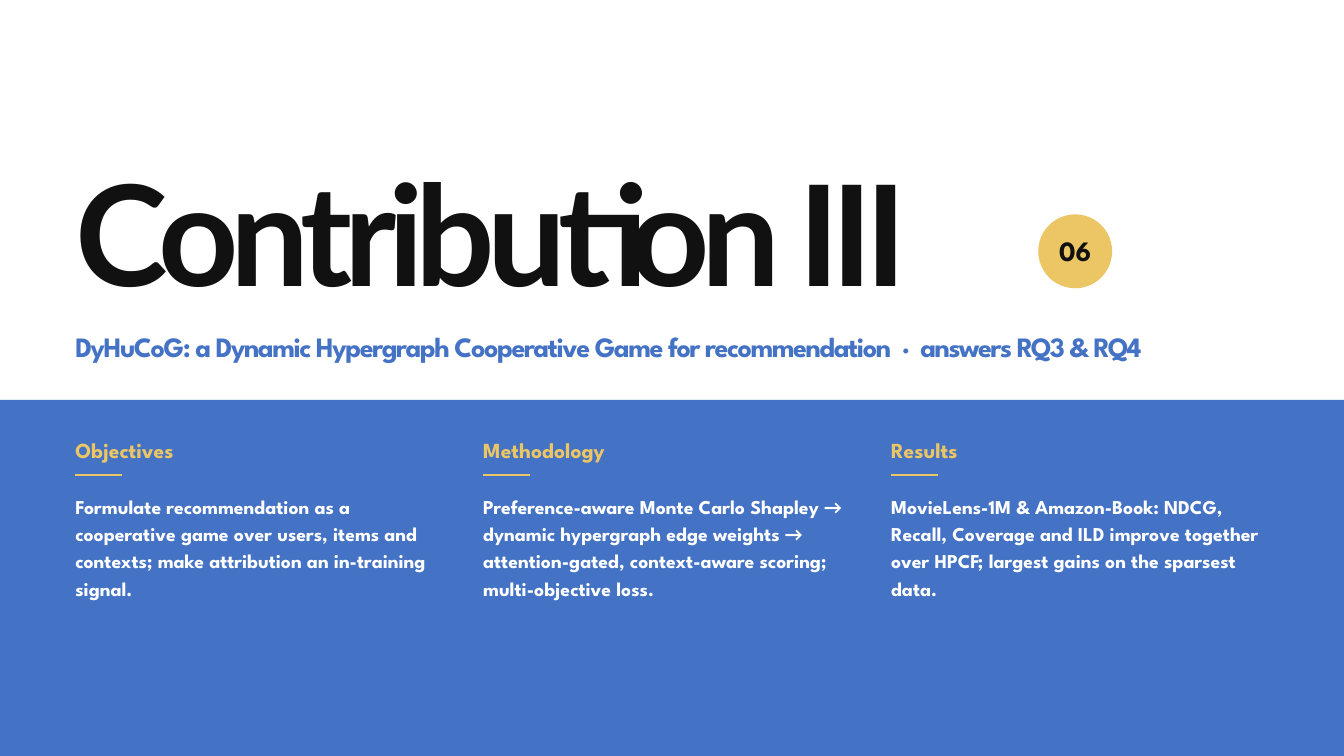
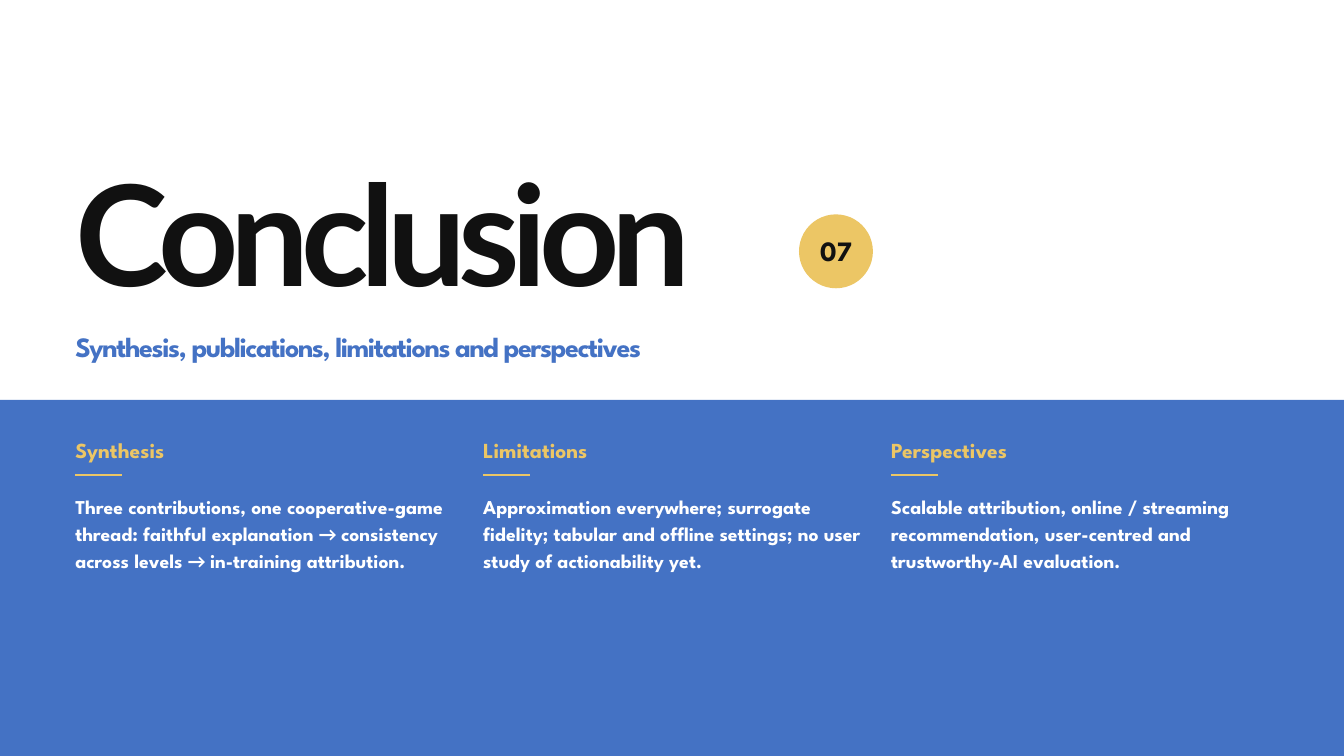
from pptx import Presentation
from pptx.dml.color import RGBColor
from pptx.enum.shapes import MSO_CONNECTOR, MSO_SHAPE
from pptx.enum.text import MSO_ANCHOR, MSO_AUTO_SIZE, PP_ALIGN
from pptx.oxml.ns import qn
from pptx.util import Pt
from lxml.etree import SubElement

WIDTH, HEIGHT = 1440, 810
BLUE, GOLD, INK, WHITE = "4472C4", "ECC665", "111111", "FFFFFF"
TITLE_FONT, TEXT_FONT, ARROW_FONT = "Lato", "League Spartan", "Calibri"
MARGIN = 80.64
COLUMN_STEP, COLUMN_WIDTH = 437.04, 404.64
BAND_TOP = 428.4
RULE_TOP, RULE_LENGTH = 509.04, 50.4
BADGE_TOP, BADGE_SIZE = 229.68, 79.2
ARROW = "→ "

SECTIONS = [
    {
        "title": "Contribution III",
        "number": "06",
        "badge_left": 1112.4,
        "subtitle": "DyHuCoG: a Dynamic Hypergraph Cooperative Game for "
                    "recommendation  ·  answers RQ3 & RQ4",
        "columns": [
            ("Objectives",
             "Formulate recommendation as a cooperative game over users, items "
             "and contexts; make attribution an in-training signal."),
            ("Methodology",
             "Preference-aware Monte Carlo Shapley → dynamic hypergraph edge "
             "weights → attention-gated, context-aware scoring; "
             "multi-objective loss."),
            ("Results",
             "MovieLens-1M & Amazon-Book: NDCG, Recall, Coverage and ILD "
             "improve together over HPCF; largest gains on the sparsest data."),
        ],
    },
    {
        "title": "Conclusion",
        "number": "07",
        "badge_left": 856.08,
        "subtitle": "Synthesis, publications, limitations and perspectives",
        "columns": [
            ("Synthesis",
             "Three contributions, one cooperative-game thread: faithful "
             "explanation → consistency across levels → in-training "
             "attribution."),
            ("Limitations",
             "Approximation everywhere; surrogate fidelity; tabular and offline "
             "settings; no user study of actionability yet."),
            ("Perspectives",
             "Scalable attribution, online / streaming recommendation, "
             "user-centred and trustworthy-AI evaluation."),
        ],
    },
]


def rgb(hex_color):
    return RGBColor.from_string(hex_color)


def split_arrows(text):
    """Yield (piece, font name), giving each arrow its own font."""
    for index, piece in enumerate(text.split(ARROW)):
        if index:
            yield ARROW, ARROW_FONT
        yield piece, TEXT_FONT


def write(shape, pieces, size, line_height, color, tracking=0,
          align=PP_ALIGN.LEFT, anchor=MSO_ANCHOR.TOP):
    """Fill a shape with one bold paragraph of (text, font name) pieces."""
    frame = shape.text_frame
    frame.word_wrap = True
    frame.auto_size = MSO_AUTO_SIZE.NONE
    frame.vertical_anchor = anchor
    frame.margin_left = frame.margin_right = 0
    frame.margin_top = frame.margin_bottom = 0
    paragraph = frame.paragraphs[0]
    paragraph.alignment = align
    paragraph.line_spacing = Pt(line_height)
    paragraph.space_before = Pt(0)
    for text, font_name in pieces:
        run = paragraph.add_run()
        run.text = text
        run.font.name = font_name
        run.font.size = Pt(size)
        run.font.bold = True
        run.font.color.rgb = rgb(color)
        if tracking:
            run.font._element.set("spc", str(round(tracking * 100)))


def place(shape, left, top, width, height):
    shape.left, shape.top = Pt(left), Pt(top)
    shape.width, shape.height = Pt(width), Pt(height)


def add_solid(slide, kind, left, top, width, height, color):
    shape = slide.shapes.add_shape(kind, Pt(left), Pt(top), Pt(width), Pt(height))
    shape.shadow.inherit = False
    shape.fill.solid()
    shape.fill.fore_color.rgb = rgb(color)
    shape.line.fill.background()
    return shape


def add_text(slide, left, top, width, height, pieces, **style):
    box = slide.shapes.add_textbox(Pt(left), Pt(top), Pt(width), Pt(height))
    write(box, pieces, **style)


def add_rule(slide, left):
    rule = slide.shapes.add_connector(
        MSO_CONNECTOR.STRAIGHT, Pt(left), Pt(RULE_TOP),
        Pt(left + RULE_LENGTH), Pt(RULE_TOP))
    rule.line.color.rgb = rgb(GOLD)
    rule.line.width = Pt(2.5)
    SubElement(rule._element.spPr, qn("a:effectLst"))


def add_heading(slide, title, subtitle):
    title_holder, subtitle_holder = slide.placeholders
    place(title_holder, MARGIN, 183.6, 1170, 180)
    write(title_holder, [(title, TITLE_FONT)], 150, 153, INK, tracking=-8.7)
    place(subtitle_holder, MARGIN, 351.36, 1278, 50.4)
    write(subtitle_holder, [(subtitle, TEXT_FONT)], 30, 38, BLUE, tracking=-1.5)


def add_badge(slide, left, number):
    badge = add_solid(slide, MSO_SHAPE.OVAL, left, BADGE_TOP,
                      BADGE_SIZE, BADGE_SIZE, GOLD)
    write(badge, [(number, TEXT_FONT)], 30, 34, INK,
          align=PP_ALIGN.CENTER, anchor=MSO_ANCHOR.MIDDLE)


def add_column(slide, left, heading, body):
    add_text(slide, left, 468, COLUMN_WIDTH, 36, [(heading, TEXT_FONT)],
             size=23, line_height=28, color=GOLD)
    add_rule(slide, left)
    add_text(slide, left, 525.6, COLUMN_WIDTH, 244.8, split_arrows(body),
             size=21, line_height=29.4, color=WHITE)


def add_section(deck, section):
    slide = deck.slides.add_slide(deck.slide_layouts[0])
    slide.background.fill.solid()
    slide.background.fill.fore_color.rgb = rgb(WHITE)
    add_heading(slide, section["title"], section["subtitle"])
    add_badge(slide, section["badge_left"], section["number"])
    add_solid(slide, MSO_SHAPE.RECTANGLE, 0, BAND_TOP,
              WIDTH, HEIGHT - BAND_TOP, BLUE)
    for index, (heading, body) in enumerate(section["columns"]):
        add_column(slide, MARGIN + index * COLUMN_STEP, heading, body)


def main():
    deck = Presentation()
    deck.slide_width, deck.slide_height = Pt(WIDTH), Pt(HEIGHT)
    for section in SECTIONS:
        add_section(deck, section)
    deck.save("out.pptx")


if __name__ == "__main__":
    main()
